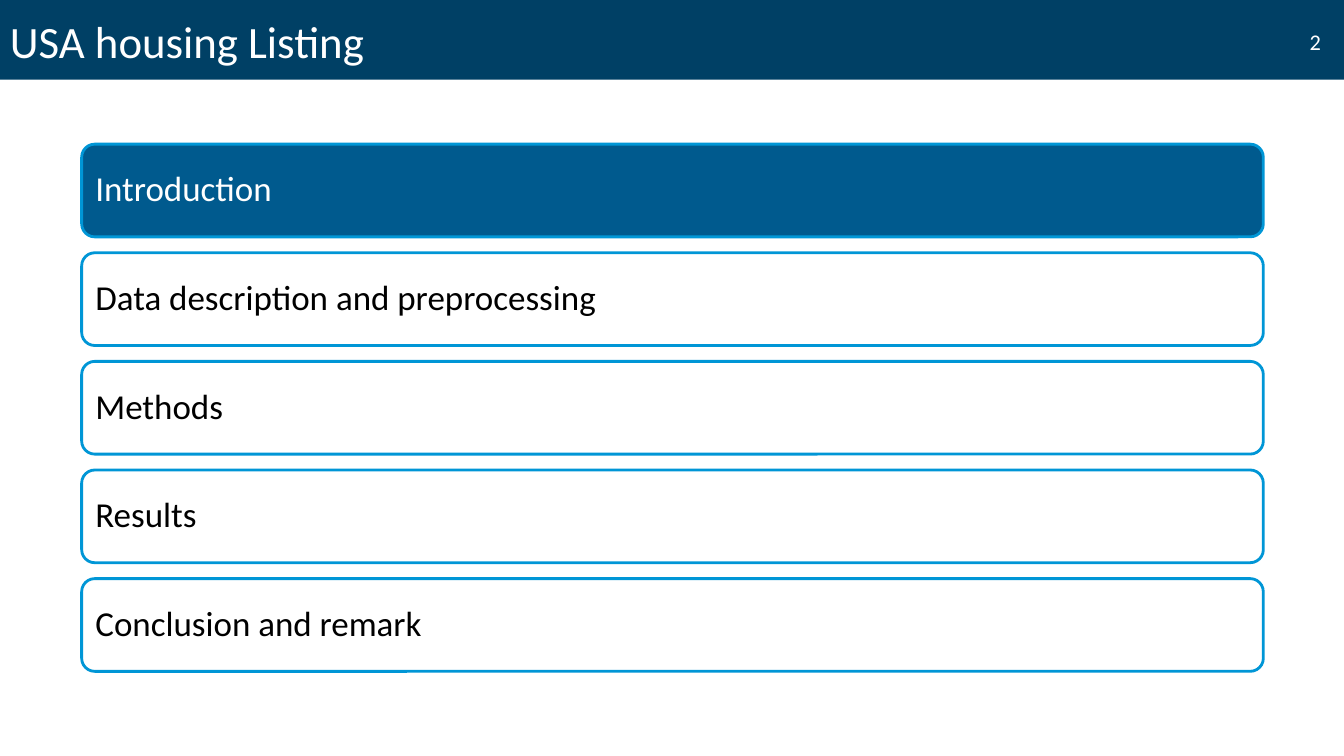
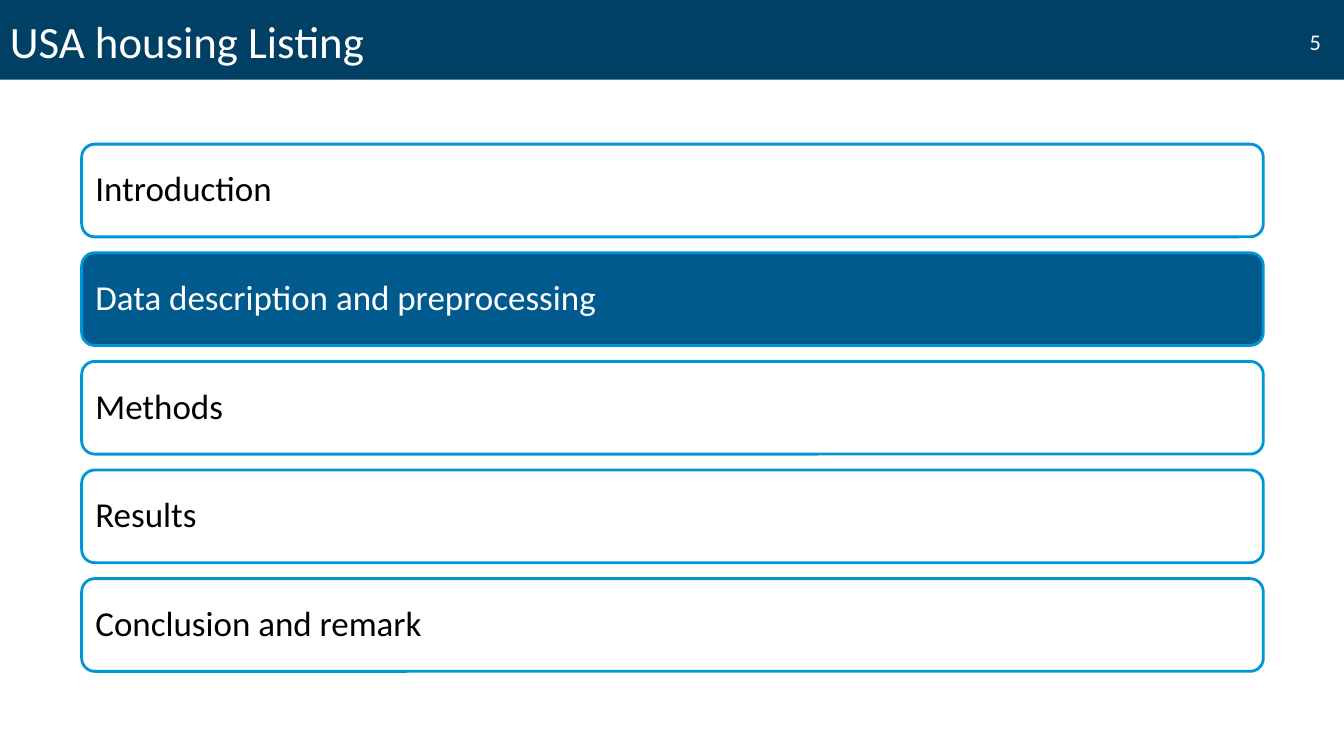
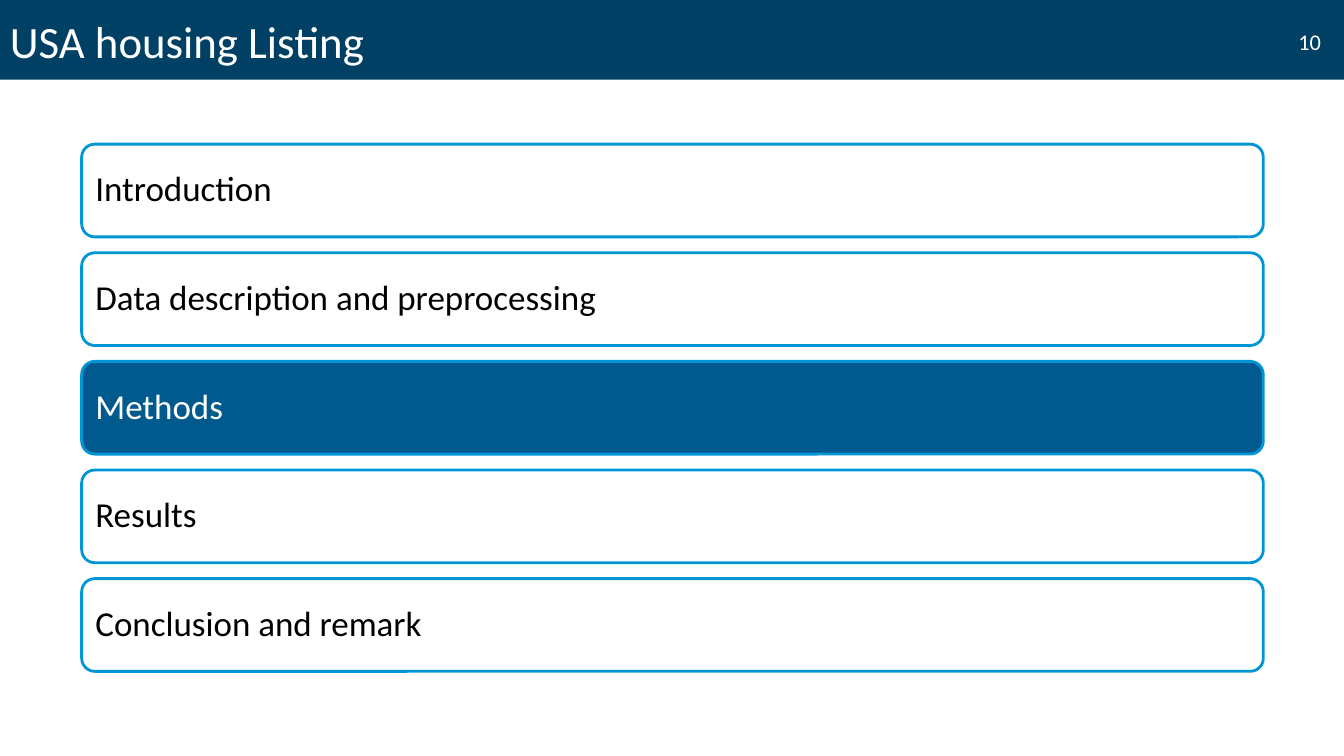
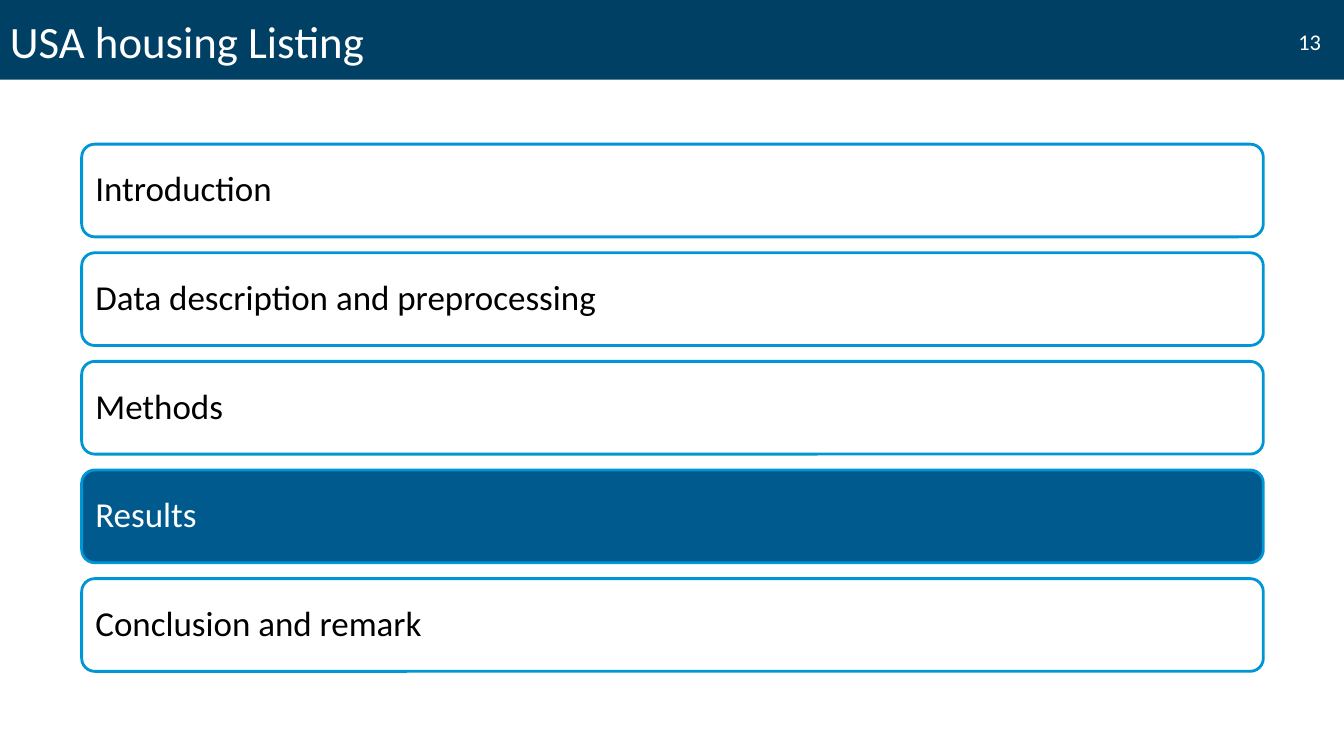
from pptx import Presentation
from pptx import util as u
from pptx.dml.color import RGBColor
from pptx.enum import shapes, text

TITLE = "USA housing Listing"
SECTIONS = [
    "Introduction",
    "Data description and preprocessing",
    "Methods",
    "Results",
    "Conclusion and remark",
]
# Page number of each agenda slide and the section it highlights
AGENDA_PAGES = [(2, 0), (5, 1), (10, 2), (13, 3)]


def color(hex_code):
    return RGBColor.from_string(hex_code)


class AgendaDeck:
    FONT = "Calibri"
    BAND, ACTIVE, OUTLINE = "004065", "005A8E", "0096D6"
    WHITE, BLACK = "FFFFFF", "000000"
    WIDTH, HEIGHT = 13.33, 7.5
    BAR_LEFT, BAR_WIDTH, BAR_HEIGHT = 0.81, 11.72, 0.92
    FIRST_TOP, LAST_TOP = 1.43, 5.74
    BAR_RADIUS = 0.13

    def __init__(self):
        self.deck = Presentation()
        self.deck.slide_width = u.Inches(self.WIDTH)
        self.deck.slide_height = u.Inches(self.HEIGHT)
        self.page = None

    def new_page(self, title, number):
        """Start a slide with its title band and page number."""
        self.page = self.deck.slides.add_slide(self.deck.slide_layouts[6])
        self.shape(shapes.MSO_SHAPE.RECTANGLE, 0, -0.05, self.WIDTH, 0.84, self.BAND)
        self.label(title, 0, 0.17, 12.42, 0.53, 32, spacing=0.9)
        self.label(str(number), 12.77, 0.2, 0.43, 0.42, 16,
                   align=text.PP_ALIGN.RIGHT)

    def shape(self, kind, left, top, width, height, fill, line=None):
        box = self.page.shapes.add_shape(
            kind, *map(u.Inches, (left, top, width, height)))
        box.shadow.inherit = False
        box.fill.solid()
        box.fill.fore_color.rgb = color(fill)
        if line:
            box.line.color.rgb = color(line)
            box.line.width = u.Pt(2)
        else:
            box.line.fill.background()
        return box

    def label(self, words, left, top, width, height, size,
              align=text.PP_ALIGN.LEFT, spacing=1.0):
        box = self.page.shapes.add_textbox(
            *map(u.Inches, (left, top, width, height)))
        self.set_text(box, words, size, self.WHITE, align, spacing)

    def set_text(self, box, words, size, ink, align, spacing):
        frame = box.text_frame
        frame.word_wrap = True
        frame.vertical_anchor = text.MSO_ANCHOR.MIDDLE
        para = frame.paragraphs[0]
        para.text = words
        para.alignment = align
        para.line_spacing = spacing
        para.font.name = self.FONT
        para.font.size = u.Pt(size)
        para.font.color.rgb = color(ink)

    def bar(self, words, top, active):
        fill, ink = (self.ACTIVE, self.WHITE) if active else (self.WHITE, self.BLACK)
        box = self.shape(shapes.MSO_SHAPE.ROUNDED_RECTANGLE, self.BAR_LEFT, top,
                         self.BAR_WIDTH, self.BAR_HEIGHT, fill, self.OUTLINE)
        box.adjustments[0] = self.BAR_RADIUS / self.BAR_HEIGHT
        self.set_text(box, words, 25, ink, text.PP_ALIGN.LEFT, 0.9)

    def agenda(self, sections, current):
        """Stack the sections evenly, with the current one highlighted."""
        pitch = (self.LAST_TOP - self.FIRST_TOP) / (len(sections) - 1)
        for index, section in enumerate(sections):
            self.bar(section, self.FIRST_TOP + index * pitch, index == current)


def main():
    slides = AgendaDeck()
    for number, current in AGENDA_PAGES:
        slides.new_page(TITLE, number)
        slides.agenda(SECTIONS, current)
    slides.deck.save("out.pptx")


if __name__ == "__main__":
    main()
